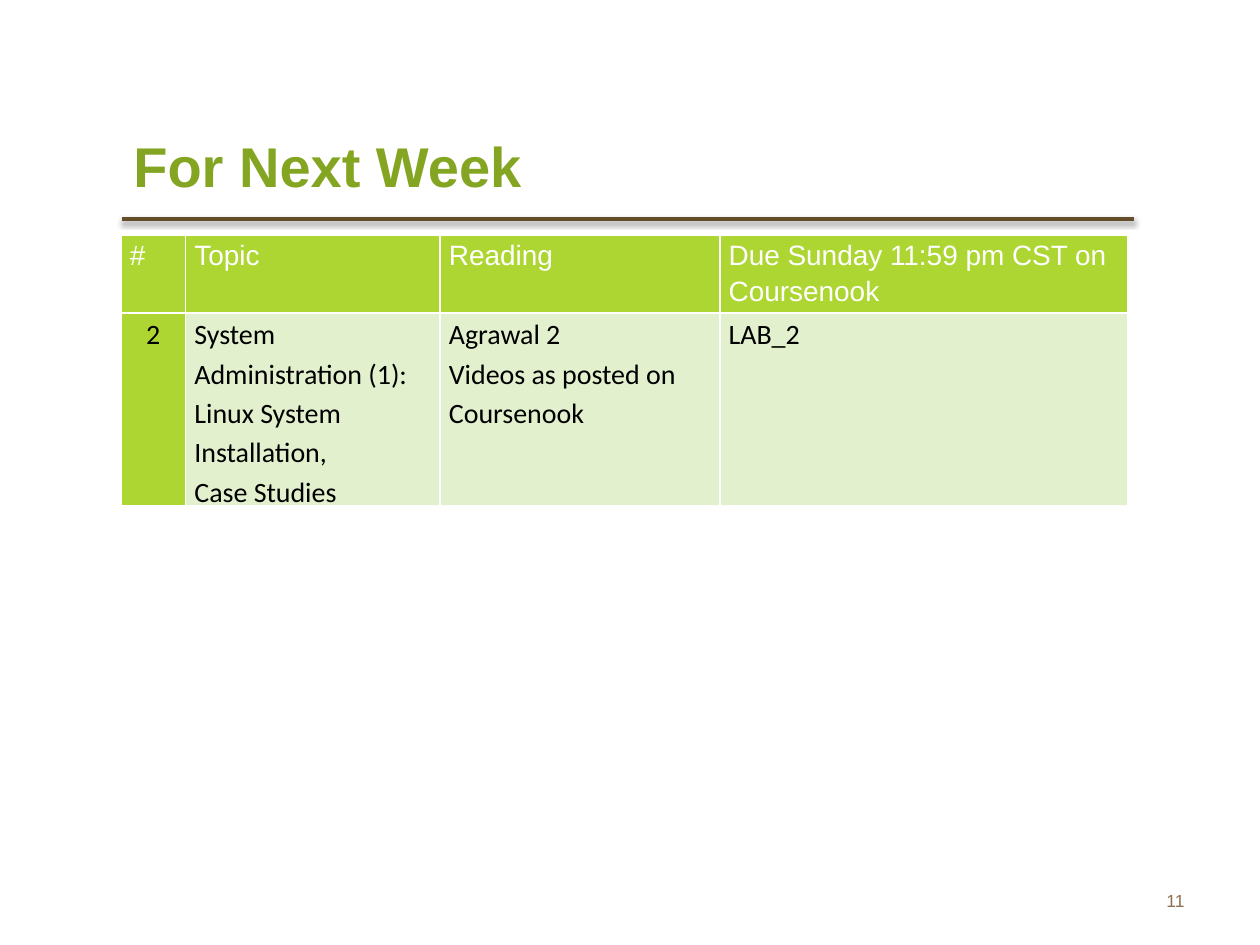
"""Build the "For Next Week" slide with its assignment table."""
from dataclasses import dataclass

from lxml import etree
from pptx import Presentation
from pptx.dml.color import RGBColor
from pptx.enum.shapes import MSO_CONNECTOR
from pptx.enum.text import MSO_ANCHOR, PP_ALIGN
from pptx.oxml.ns import qn
from pptx.util import Cm, Pt

LEFT, CENTER, RIGHT = PP_ALIGN.LEFT, PP_ALIGN.CENTER, PP_ALIGN.RIGHT
MIDDLE = MSO_ANCHOR.MIDDLE
STRAIGHT = MSO_CONNECTOR.STRAIGHT

LIME, PALE, WHITE, BLACK = "ADD632", "E3F0CE", "FFFFFF", "000000"
OLIVE, BROWN, TAN = "84A521", "634D2A", "8F6F52"
COLUMN_WIDTHS = (1.3, 5.13, 5.64, 8.23)
TABLE_HEIGHT = 5.46


@dataclass(frozen=True)
class Style:
    size: float
    color: str
    font: str = "Arial"
    bold: bool = False
    align: PP_ALIGN = LEFT
    spacing: float = 1.0


@dataclass(frozen=True)
class Label:
    text: str
    left: float
    top: float
    width: float
    height: float
    style: Style


@dataclass(frozen=True)
class Entry:
    lines: tuple[str, ...]
    fill: str
    style: Style


HEADING = Style(16, WHITE, spacing=1.15)
BODY = Style(16, BLACK, "Calibri", spacing=1.15)
NUMBER = Style(16, BLACK, "Calibri", align=CENTER, spacing=1.15)

LABELS = (
    Label("11", 18.21, 17.65, 5.92, 1.02, Style(10, TAN, align=RIGHT)),
    Label("For Next Week", 2.44, 2.18, 14.66, 2.29, Style(32, OLIVE, bold=True)),
)
HEADINGS = ("#", "Topic", "Reading", "Due Sunday 11:59 pm CST on Coursenook")
ROWS = (
    tuple(Entry((heading,), LIME, HEADING) for heading in HEADINGS),
    (
        Entry(("2",), LIME, NUMBER),
        Entry(("System Administration (1): Linux System Installation,", "Case Studies"), PALE, BODY),
        Entry(("Agrawal 2", "Videos as posted on Coursenook"), PALE, BODY),
        Entry(("LAB_2",), PALE, BODY),
    ),
)


def rgb(color: str) -> RGBColor:
    """Turn a hex string into a colour."""
    return RGBColor.from_string(color)


def write(frame, lines: tuple[str, ...], style: Style) -> None:
    """Write one styled paragraph for each line."""
    for index, line in enumerate(lines):
        para = frame.add_paragraph() if index else frame.paragraphs[0]
        para.alignment = style.align
        para.line_spacing = style.spacing
        span = para.add_run()
        span.text = line
        span.font.name = style.font
        span.font.size = Pt(style.size)
        span.font.bold = style.bold
        span.font.color.rgb = rgb(style.color)


def add_label(page, label: Label) -> None:
    """Add a vertically centred text box."""
    box = page.shapes.add_textbox(Cm(label.left), Cm(label.top), Cm(label.width), Cm(label.height))
    box.text_frame.word_wrap = True
    box.text_frame.vertical_anchor = MIDDLE
    write(box.text_frame, (label.text,), label.style)


def add_rule(page) -> None:
    """Draw the rule under the title with its soft shadow."""
    rule = page.shapes.add_connector(STRAIGHT, Cm(2.46), Cm(4.42), Cm(22.86), Cm(4.42))
    rule.line.color.rgb = rgb(BROWN)
    rule.line.width = Pt(2)
    effects = etree.SubElement(rule._element.spPr, qn("a:effectLst"))
    shadow = etree.SubElement(effects, qn("a:outerShdw"), blurRad=str(Pt(3.1)),
                              dist=str(Pt(1.6)), dir="5400000", rotWithShape="0")
    color = etree.SubElement(shadow, qn("a:srgbClr"), val=BLACK)
    etree.SubElement(color, qn("a:alpha"), val="38000")


def add_borders(cell) -> None:
    """Give a cell thin white borders on all sides."""
    properties = cell._tc.get_or_add_tcPr()
    for side in ("lnL", "lnR", "lnT", "lnB"):
        border = etree.SubElement(properties, qn(f"a:{side}"), w=str(Pt(1)))
        fill = etree.SubElement(border, qn("a:solidFill"))
        etree.SubElement(fill, qn("a:srgbClr"), val=WHITE)


def fill_cell(cell, entry: Entry) -> None:
    """Set the borders, fill, margins and text of a cell."""
    add_borders(cell)
    cell.fill.solid()
    cell.fill.fore_color.rgb = rgb(entry.fill)
    cell.margin_left = cell.margin_right = Cm(0.18)
    cell.margin_top = cell.margin_bottom = Cm(0)
    write(cell.text_frame, entry.lines, entry.style)


def add_schedule(page) -> None:
    """Add the table, whose rows grow to fit their text."""
    holder = page.shapes.add_table(len(ROWS), len(COLUMN_WIDTHS), Cm(2.44), Cm(4.75),
                                   Cm(sum(COLUMN_WIDTHS)), Cm(TABLE_HEIGHT))
    table = holder.table
    for column, width in zip(table.columns, COLUMN_WIDTHS):
        column.width = Cm(width)
    for row, entries in zip(table.rows, ROWS):
        row.height = Cm(0)
        for cell, entry in zip(row.cells, entries):
            fill_cell(cell, entry)
    holder.height = Cm(TABLE_HEIGHT)


def main() -> None:
    """Build and save the deck."""
    deck = Presentation()
    deck.slide_width, deck.slide_height = Cm(25.4), Cm(19.05)
    page = deck.slides.add_slide(deck.slide_layouts[6])
    add_rule(page)
    for label in LABELS:
        add_label(page, label)
    add_schedule(page)
    deck.save("out.pptx")


if __name__ == "__main__":
    main()
